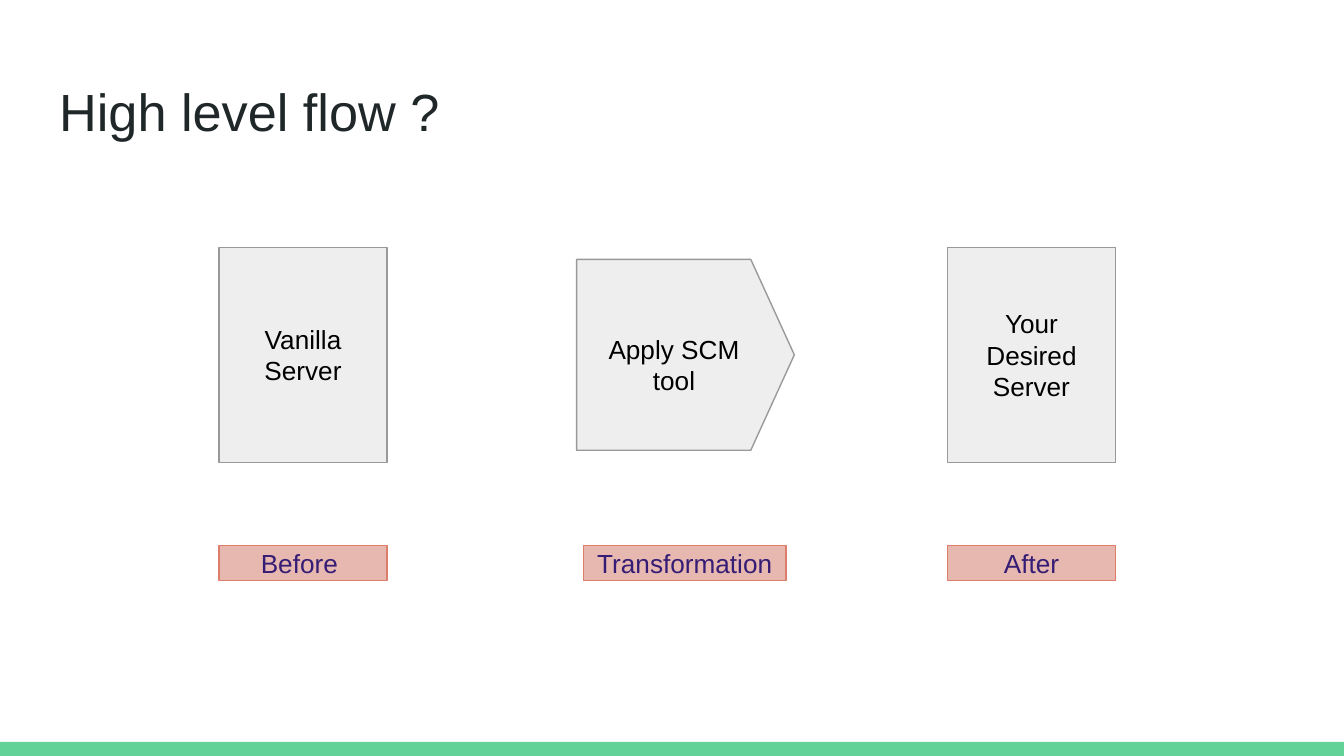
from pptx import Presentation
from pptx.dml.color import RGBColor
from pptx.enum.shapes import MSO_SHAPE
from pptx.enum.text import MSO_ANCHOR, PP_ALIGN
from pptx.util import Inches, Pt

RECTANGLE = MSO_SHAPE.RECTANGLE
PENTAGON = MSO_SHAPE.FLOWCHART_OFFPAGE_CONNECTOR
TOP, MIDDLE = MSO_ANCHOR.TOP, MSO_ANCHOR.MIDDLE
LEFT, CENTER = PP_ALIGN.LEFT, PP_ALIGN.CENTER

COLORS = {
    "title": "202729",
    "band": "63D297",
    "box": "EEEEEE",
    "box_line": "999999",
    "label": "E6B8AF",
    "label_line": "DD7E6B",
    "label_text": "351C75",
    "text": "000000",
}
FONT = "Arial"
TITLE = "High level flow ?"
SERVERS = [("Vanilla Server", 1.63), ("Your Desired Server", 7.05)]
TOOL = "Apply SCM tool"
LABELS = [("Before ", 1.63, 1.25), ("Transformation", 4.34, 1.51), ("After", 7.05, 1.25)]


def color(name):
    return RGBColor.from_string(COLORS[name])


def write(shape, text, size, color_name, alignment, anchor):
    frame = shape.text_frame
    frame.text = text
    frame.word_wrap = True
    frame.vertical_anchor = anchor
    frame.margin_left = frame.margin_right = Inches(0.1)
    frame.margin_top = frame.margin_bottom = Inches(0.1)
    paragraph = frame.paragraphs[0]
    paragraph.alignment = alignment
    font = paragraph.runs[0].font
    font.name, font.size = FONT, Pt(size)
    font.color.rgb = color(color_name)


def add_box(slide, kind, left, top, width, height, fill, line=None):
    shape = slide.shapes.add_shape(
        kind, Inches(left), Inches(top), Inches(width), Inches(height))
    shape.shadow.inherit = False
    shape.fill.solid()
    shape.fill.fore_color.rgb = color(fill)
    if line:
        shape.line.color.rgb = color(line)
        shape.line.width = Pt(0.75)
    else:
        shape.line.fill.background()
    return shape


def main():
    presentation = Presentation()
    presentation.slide_width = Inches(10)
    presentation.slide_height = presentation.slide_width * 9 // 16
    slide = presentation.slides.add_slide(presentation.slide_layouts[5])

    add_box(slide, RECTANGLE, 0, 5.52, 10, 0.11, "band")

    title = slide.shapes.title
    title.left, title.top = Inches(0.34), Inches(0.49)
    title.width, title.height = Inches(9.32), Inches(0.63)
    write(title, TITLE, 28, "title", LEFT, TOP)

    for text, left in SERVERS:
        server = add_box(slide, RECTANGLE, left, 1.84, 1.25, 1.6, "box", "box_line")
        write(server, text, 14, "text", CENTER, MIDDLE)

    arrow = add_box(slide, PENTAGON, 4.39, 1.83, 1.42, 1.62, "box", "box_line")
    arrow.rotation = 270

    for text, left, width in LABELS:
        label = add_box(slide, RECTANGLE, left, 4.06, width, 0.26, "label", "label_line")
        write(label, text, 14, "label_text", CENTER, MIDDLE)

    tool = slide.shapes.add_textbox(
        Inches(4.39), Inches(2.38), Inches(1.25), Inches(0.56))
    write(tool, TOOL, 14, "text", CENTER, TOP)

    presentation.save("out.pptx")


if __name__ == "__main__":
    main()
